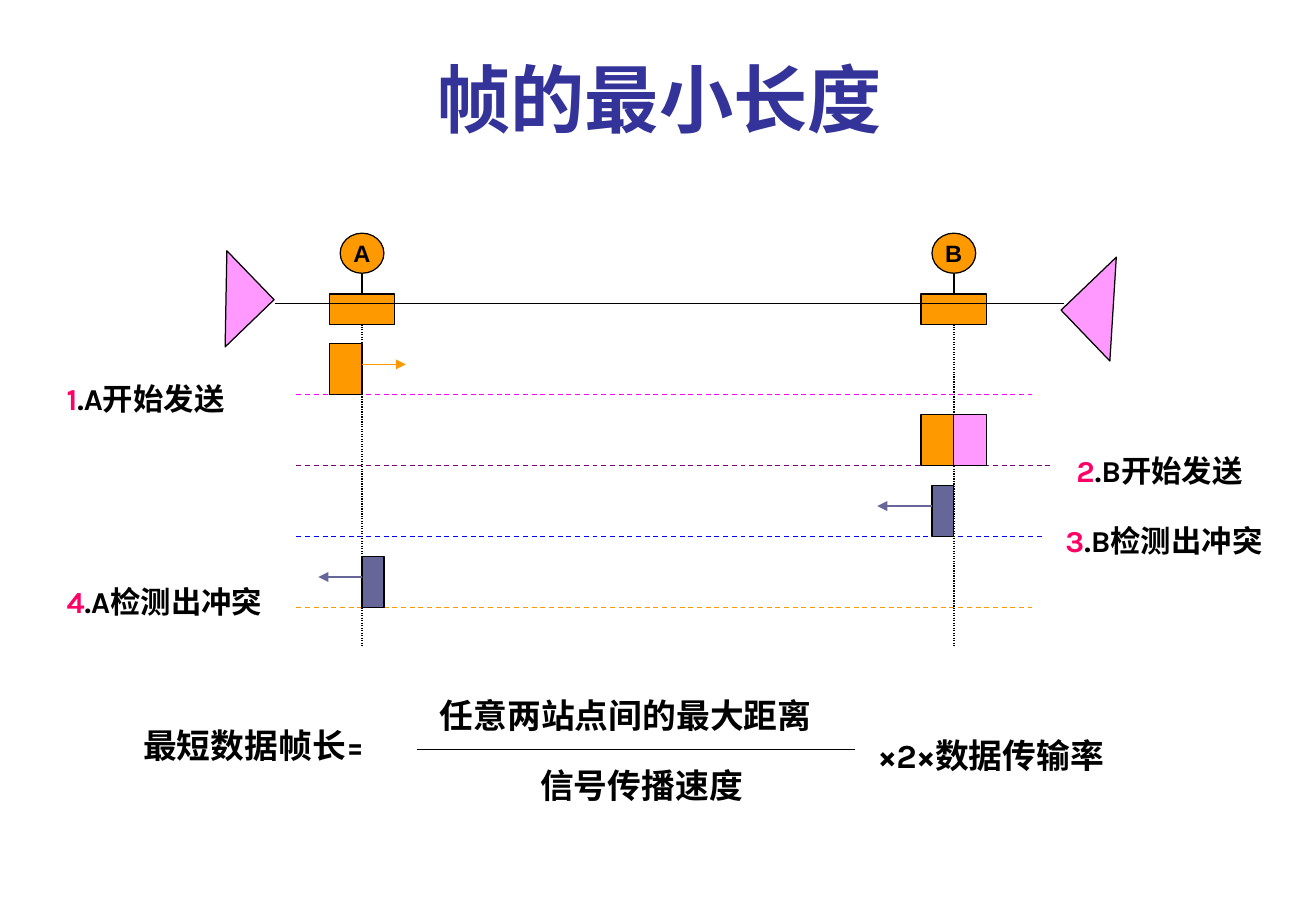
from dataclasses import dataclass

from pptx import Presentation
from pptx.dml.color import RGBColor
from pptx.enum.dml import MSO_LINE_DASH_STYLE as Dash
from pptx.enum.shapes import MSO_CONNECTOR, MSO_SHAPE as Preset
from pptx.enum.text import MSO_ANCHOR as Anchor, MSO_AUTO_SIZE as AutoSize, PP_ALIGN as Align
from pptx.oxml.ns import qn
from pptx.util import Inches, Pt


@dataclass(frozen=True)
class Theme:
    title: str = "333399"
    ink: str = "000000"
    number: str = "FF0066"
    orange: str = "FF9900"
    pink: str = "FF99FF"
    slate: str = "666699"
    steps: tuple = ("FF00FF", "800080", "0000FF", "FF9900")
    heading_font: str = "Arial"
    body_font: str = "Karla"
    title_size: int = 44
    formula_size: int = 20
    label_size: int = 18
    station_size: int = 14
    line_width: float = 0.75


@dataclass(frozen=True)
class Box:
    left: float
    top: float
    width: float
    height: float

    def area(self, left, top, width, height):
        return Box(self.left + left, self.top + top, width, height)

    def inches(self):
        return [Inches(v) for v in (self.left, self.top, self.width, self.height)]


THEME = Theme()


def rgb(value):
    return RGBColor.from_string(value)


def write(frame, spans, *, size, font=THEME.body_font, align=Align.LEFT,
          anchor=Anchor.TOP, wrap=True, fit=AutoSize.NONE):
    """Fill a text frame with (text, colour) spans."""
    frame.word_wrap = wrap
    frame.auto_size = fit
    frame.vertical_anchor = anchor
    para = frame.paragraphs[0]
    para.alignment = align
    for text, color in spans:
        span = para.add_run()
        span.text = text
        span.font.name = font
        span.font.size = Pt(size)
        span.font.bold = True
        span.font.color.rgb = rgb(color)


def add_label(page, box, spans, **style):
    frame = page.shapes.add_textbox(*box.inches()).text_frame
    write(frame, spans, fit=AutoSize.SHAPE_TO_FIT_TEXT, **style)


def add_block(page, preset, box, fill, rotation=0):
    shape = page.shapes.add_shape(preset, *box.inches())
    shape.shadow.inherit = False
    shape.fill.solid()
    shape.fill.fore_color.rgb = rgb(fill)
    shape.line.color.rgb = rgb(THEME.ink)
    shape.line.width = Pt(THEME.line_width)
    shape.rotation = rotation
    return shape


def add_line(page, box, color=THEME.ink, dash=None, arrow=False):
    """Draw a line across a box; a negative width runs to the left."""
    line = page.shapes.add_connector(
        MSO_CONNECTOR.STRAIGHT, Inches(box.left), Inches(box.top),
        Inches(box.left + box.width), Inches(box.top + box.height))
    line.line.color.rgb = rgb(color)
    line.line.width = Pt(THEME.line_width)
    if dash:
        line.line.dash_style = dash
    props = line._element.spPr
    if arrow:
        outline = props.find(qn("a:ln"))
        outline.append(outline.makeelement(qn("a:tailEnd"), {"type": "triangle"}))
    props.append(props.makeelement(qn("a:effectLst"), {}))
    return line


def draw_title(page, box, text):
    title = page.shapes.title
    title.left, title.top, title.width, title.height = box.inches()
    write(title.text_frame, [(text, THEME.title)], size=THEME.title_size,
          font=THEME.heading_font, align=Align.CENTER, anchor=Anchor.BOTTOM)


def draw_timeline(page, box):
    station_x = {"A": 2.53, "B": 7.4}
    step_y = [1.33 + i * 1.75 / 3 for i in range(4)]
    frame_height = 0.42

    # Stations, couplers and their time axes
    for name, x in station_x.items():
        station = add_block(page, Preset.OVAL, box.area(x - 0.18, 0, 0.36, 0.33), THEME.orange)
        write(station.text_frame, [(name, THEME.ink)], size=THEME.station_size,
              font=THEME.heading_font, align=Align.CENTER, anchor=Anchor.MIDDLE, wrap=False)
        coupler = add_block(page, Preset.RECTANGLE,
                            box.area(x - 0.27, 0.5, 0.54, 0.25), THEME.orange)
        stem = add_line(page, box.area(x, 0.33, 0, 0.17))
        stem.end_connect(coupler, 0)
        axis = add_line(page, box.area(x, 0.75, 0, 2.66), dash=Dash.ROUND_DOT)
        axis.begin_connect(coupler, 2)

    # Bus with a terminator at each end
    for place, turn in (((1.13, 0.26, 0.56, 0.56), 226), ((8.42, 0.31, 0.58, 0.63), 46.2)):
        add_block(page, Preset.RIGHT_TRIANGLE, box.area(*place), THEME.pink, turn)
    add_line(page, box.area(1.81, 0.58, 6.5, 0))

    # Step lines
    for y, width, color in zip(step_y, (6.05, 6.23, 6.14, 6.05), THEME.steps):
        add_line(page, box.area(1.99, y, width, 0), color, Dash.DASH)

    # Frames standing on the step lines: step, station, offset, width, fill
    for step, name, offset, width, fill in (
            (0, "A", -0.27, 0.27, THEME.orange), (1, "B", -0.27, 0.27, THEME.orange),
            (1, "B", 0, 0.27, THEME.pink), (2, "B", -0.18, 0.18, THEME.slate),
            (3, "A", 0, 0.18, THEME.slate)):
        place = box.area(station_x[name] + offset, step_y[step] - frame_height,
                         width, frame_height)
        add_block(page, Preset.RECTANGLE, place, fill)

    # Directions of travel: step, start, signed length, colour
    for step, x, length, color in (
            (0, station_x["A"], 0.36, THEME.orange),
            (2, station_x["B"] - 0.18, -0.45, THEME.slate),
            (3, station_x["A"], -0.36, THEME.slate)):
        add_line(page, box.area(x, step_y[step] - 0.25, length, 0), color, arrow=True)

    # Step captions: left, shift from the step line, width, text
    captions = ((0, -0.17, 1.9, ".A开始发送"), (8.31, -0.16, 1.72, ".B开始发送"),
                (8.22, -0.17, 2.03, ".B检测出冲突"), (0, -0.25, 1.99, ".A检测出冲突"))
    for number, (y, (x, shift, width, text)) in enumerate(zip(step_y, captions), 1):
        add_label(page, box.area(x, y + shift, width, 0.4),
                  [(str(number), THEME.number), (text, THEME.ink)], size=THEME.label_size)


def draw_formula(page, box):
    for x, y, width, text, align in (
            (0, 0.25, 2.26, "最短数据帧长=", Align.LEFT),
            (2.44, 0, 3.97, "任意两站点间的最大距离", Align.LEFT),
            (2.26, 0.58, 3.88, "信号传播速度", Align.CENTER),
            (6.05, 0.33, 2.71, "×2×数据传输率", Align.LEFT)):
        add_label(page, box.area(x, y, width, 0.43), [(text, THEME.ink)],
                  size=THEME.formula_size, align=align)
    # Fraction bar
    add_line(page, box.area(2.35, 0.5, 3.61, 0))


def main():
    deck = Presentation()
    deck.slide_width, deck.slide_height = Inches(10.83), Inches(7.5)
    page = deck.slides.add_slide(deck.slide_layouts[5])
    draw_title(page, Box(1.44, 0.29, 7.97, 0.93), "帧的最小长度")
    draw_timeline(page, Box(0.45, 1.92, 10.25, 3.41))
    draw_formula(page, Box(1.08, 5.67, 8.76, 1.01))
    deck.save("out.pptx")


if __name__ == "__main__":
    main()
